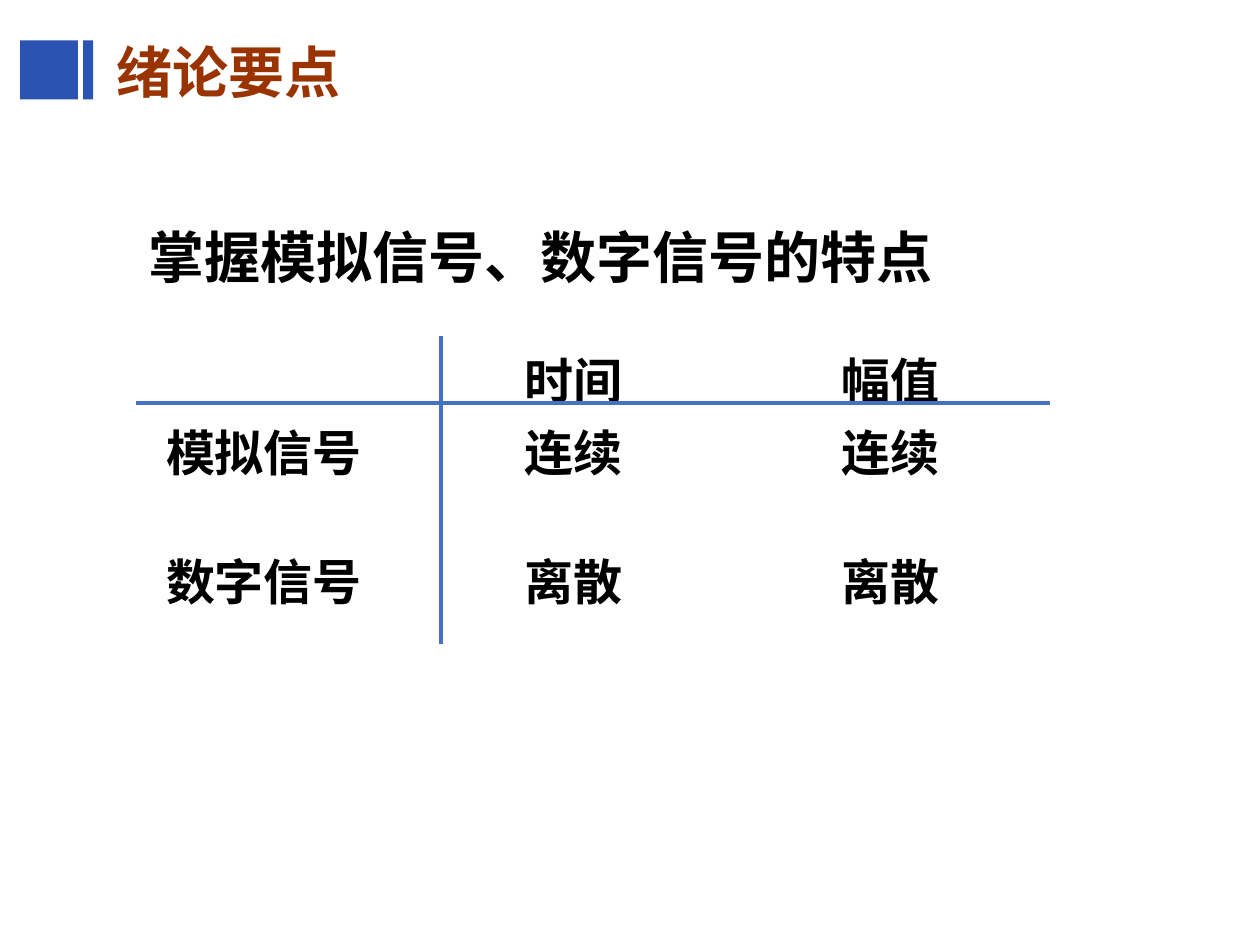
from dataclasses import dataclass

from lxml.etree import SubElement
from pptx import Presentation
from pptx.dml.color import RGBColor
from pptx.enum.shapes import MSO_CONNECTOR, MSO_SHAPE
from pptx.enum.text import PP_ALIGN
from pptx.oxml.ns import qn
from pptx.util import Inches, Pt


@dataclass(frozen=True)
class Theme:
    font: str = "Times New Roman"
    accent: str = "2A53B2"
    title: str = "993300"
    text: str = "000000"
    paper: str = "FFFFFF"
    rule: str = "4472C4"
    heading_size: float = 32
    table_size: float = 28
    rule_width: float = 2.5
    border_width: float = 1
    header_border_width: float = 3


@dataclass(frozen=True)
class Box:
    left: float
    top: float
    width: float
    height: float

    def lengths(self) -> list:
        return [Inches(n) for n in (self.left, self.top, self.width, self.height)]


@dataclass(frozen=True)
class Heading:
    text: str
    box: Box
    color: str
    line_spacing: float


@dataclass(frozen=True)
class Rule:
    start: tuple[float, float]
    end: tuple[float, float]


THEME = Theme()
TITLE_BARS = [Box(0.16, 0.32, 0.46, 0.47), Box(0.66, 0.32, 0.08, 0.47)]
HEADINGS = [
    Heading("绪论要点", Box(0.83, 0.25, 6.67, 0.64), THEME.title, 1.0),
    Heading("掌握模拟信号、数字信号的特点", Box(1.08, 1.58, 7.67, 1.45), THEME.text, 1.25),
]
TABLE_BOX = Box(0.56, 2.67, 8.1, 3.66)
COLUMN_WIDTHS = [3.07, 1.84, 3.19]
ROW_HEIGHTS = [0.57, 1.03, 1.03, 1.03]
SIGNAL_ROWS = [
    ["", "时间", "幅值"],
    ["模拟信号", "连续", "连续"],
    ["数字信号", "离散", "离散"],
    ["", "", ""],
]
RULES = [Rule((1.08, 3.2), (8.33, 3.2)), Rule((3.5, 2.67), (3.5, 5.11))]


def add_bold_run(paragraph, text: str, size: float, color: str) -> None:
    run = paragraph.add_run()
    run.text = text
    run.font.name = THEME.font
    run.font.size = Pt(size)
    run.font.bold = True
    run.font.color.rgb = RGBColor.from_string(color)


def add_bar(slide, box: Box) -> None:
    shape = slide.shapes.add_shape(MSO_SHAPE.RECTANGLE, *box.lengths())
    shape.shadow.inherit = False
    shape.fill.solid()
    shape.fill.fore_color.rgb = RGBColor.from_string(THEME.accent)
    shape.line.fill.background()


def add_heading(slide, heading: Heading) -> None:
    frame = slide.shapes.add_textbox(*heading.box.lengths()).text_frame
    frame.word_wrap = True
    paragraph = frame.paragraphs[0]
    paragraph.line_spacing = heading.line_spacing
    add_bold_run(paragraph, heading.text, THEME.heading_size, heading.color)


def set_cell_border(cell, side: str, width: float) -> None:
    border = SubElement(cell._tc.get_or_add_tcPr(), qn(f"a:{side}"), w=str(Pt(width)))
    fill = SubElement(border, qn("a:solidFill"))
    SubElement(fill, qn("a:srgbClr"), val=THEME.paper)


def style_cell(cell, row_index: int) -> None:
    heavy_side = {0: "lnB", 1: "lnT"}.get(row_index)
    for side in ("lnL", "lnR", "lnT", "lnB"):
        width = THEME.header_border_width if side == heavy_side else THEME.border_width
        set_cell_border(cell, side, width)
    cell.fill.solid()
    cell.fill.fore_color.rgb = RGBColor.from_string(THEME.paper)


def add_signal_table(slide) -> None:
    table = slide.shapes.add_table(
        len(ROW_HEIGHTS), len(COLUMN_WIDTHS), *TABLE_BOX.lengths()
    ).table
    for column, width in zip(table.columns, COLUMN_WIDTHS):
        column.width = Inches(width)
    for row_index, (row, height) in enumerate(zip(table.rows, ROW_HEIGHTS)):
        row.height = Inches(height)
        for cell, text in zip(row.cells, SIGNAL_ROWS[row_index]):
            style_cell(cell, row_index)
            if text:
                paragraph = cell.text_frame.paragraphs[0]
                paragraph.alignment = PP_ALIGN.CENTER
                add_bold_run(paragraph, text, THEME.table_size, THEME.text)


def add_rule(slide, rule: Rule) -> None:
    points = [Inches(n) for n in rule.start + rule.end]
    connector = slide.shapes.add_connector(MSO_CONNECTOR.STRAIGHT, *points)
    connector.line.color.rgb = RGBColor.from_string(THEME.rule)
    connector.line.width = Pt(THEME.rule_width)
    SubElement(connector._element.spPr, qn("a:effectLst"))


def main() -> None:
    presentation = Presentation()
    presentation.slide_width = Inches(10)
    presentation.slide_height = Inches(7.5)
    slide = presentation.slides.add_slide(presentation.slide_layouts[6])
    for bar in TITLE_BARS:
        add_bar(slide, bar)
    for heading in HEADINGS:
        add_heading(slide, heading)
    add_signal_table(slide)
    for rule in RULES:
        add_rule(slide, rule)
    presentation.save("out.pptx")


if __name__ == "__main__":
    main()
